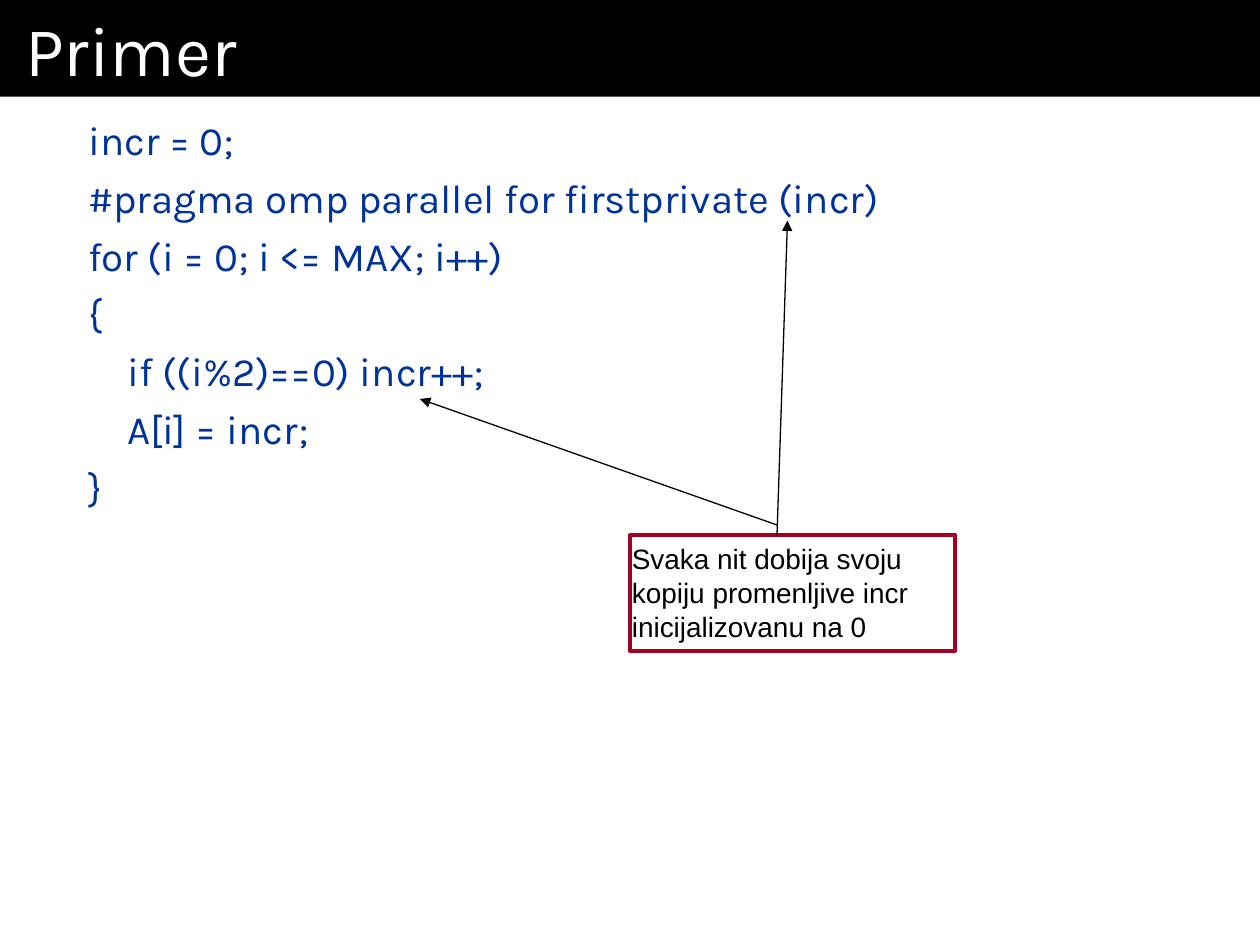
from pptx import Presentation
from pptx.dml.color import RGBColor
from pptx.enum.shapes import MSO_CONNECTOR as Connector, MSO_SHAPE as Shape
from pptx.enum.text import MSO_ANCHOR as Anchor, PP_ALIGN as Align
from pptx.oxml.ns import qn
from pptx.util import Inches, Pt
from lxml.etree import SubElement

CODE = [
    "incr = 0;",
    "#pragma omp parallel for firstprivate (incr)",
    "for (i = 0; i <= MAX; i++)",
    "{",
    "\tif ((i%2)==0) incr++;",
    "\tA[i] = incr;",
    "}",
]


def color(value):
    return RGBColor.from_string(value)


class Deck:
    COLS, ROWS = 120, 90
    BLACK, WHITE, BLUE, RED = "000000", "FFFFFF", "003399", "A50021"
    HEADING, BODY = "Karla", "Arial"

    def __init__(self):
        self.prs = Presentation()
        self.prs.slide_width, self.prs.slide_height = Inches(10), Inches(7.5)
        self.s = self.prs.slides.add_slide(self.prs.slide_layouts[6])

    def grid(self, col, row):
        return (int(self.prs.slide_width * col / self.COLS),
                int(self.prs.slide_height * row / self.ROWS))

    def rect(self, col, row, cols, rows, fill=None, line=None):
        sp = self.s.shapes.add_shape(
            Shape.RECTANGLE, *self.grid(col, row), *self.grid(cols, rows))
        sp.shadow.inherit = False
        if fill:
            sp.fill.solid()
            sp.fill.fore_color.rgb = color(fill)
        else:
            sp.fill.background()
        if line:
            sp.line.color.rgb = color(line)
            sp.line.width = Pt(2.25)
        else:
            sp.line.fill.background()
        return sp

    def box(self, col, row, cols, rows):
        return self.s.shapes.add_textbox(
            *self.grid(col, row), *self.grid(cols, rows))

    def set_text(self, sp, lines, size, font, ink, inset=(0.1, 0.05),
                 anchor=Anchor.TOP, before=0, indent=None):
        tf = sp.text_frame
        tf.word_wrap = True
        tf.vertical_anchor = anchor
        tf.margin_left = tf.margin_right = Inches(inset[0])
        tf.margin_top = tf.margin_bottom = Inches(inset[1])
        for i, line in enumerate(lines):
            p = tf.paragraphs[0] if i == 0 else tf.add_paragraph()
            p.text = line
            p.alignment = Align.LEFT
            p.space_before = Pt(before)
            p.font.size, p.font.name = Pt(size), font
            p.font.color.rgb = color(ink)
            if indent:
                pPr = p._p.get_or_add_pPr()
                pPr.set("marL", str(Inches(indent[0])))
                pPr.set("indent", str(Inches(indent[1])))

    def arrow(self, start, end):
        c = self.s.shapes.add_connector(
            Connector.STRAIGHT, *self.grid(*start), *self.grid(*end))
        c.line.color.rgb = color(self.BLACK)
        c.line.width = Pt(0.75)
        SubElement(c.line._get_or_add_ln(), qn("a:tailEnd"), type="triangle")
        SubElement(c._element.spPr, qn("a:effectLst"))


def main():
    d = Deck()
    bar = 9.2
    title = d.rect(0, 0, d.COLS, bar, fill=d.BLACK)
    d.set_text(title, ["Primer"], 40, d.HEADING, d.WHITE, inset=(0.2, 0.05),
               anchor=Anchor.MIDDLE)
    code = d.box(0, bar, d.COLS, d.ROWS - bar)
    d.set_text(code, CODE, 23, d.HEADING, d.BLUE, inset=(0.2, 0.15),
               before=5.4, indent=(0.81, -0.31))
    d.rect(60, 51, 31, 11, line=d.RED)
    d.arrow((74, 51), (75, 21))
    d.arrow((74, 50), (40, 38))
    note = d.box(59, 51, 34, 10.8)
    d.set_text(note, ["Svaka nit dobija svoju kopiju promenljive incr "
                      "inicijalizovanu na 0"],
               16, d.BODY, d.BLACK, anchor=Anchor.BOTTOM)
    d.prs.save("out.pptx")


if __name__ == "__main__":
    main()
